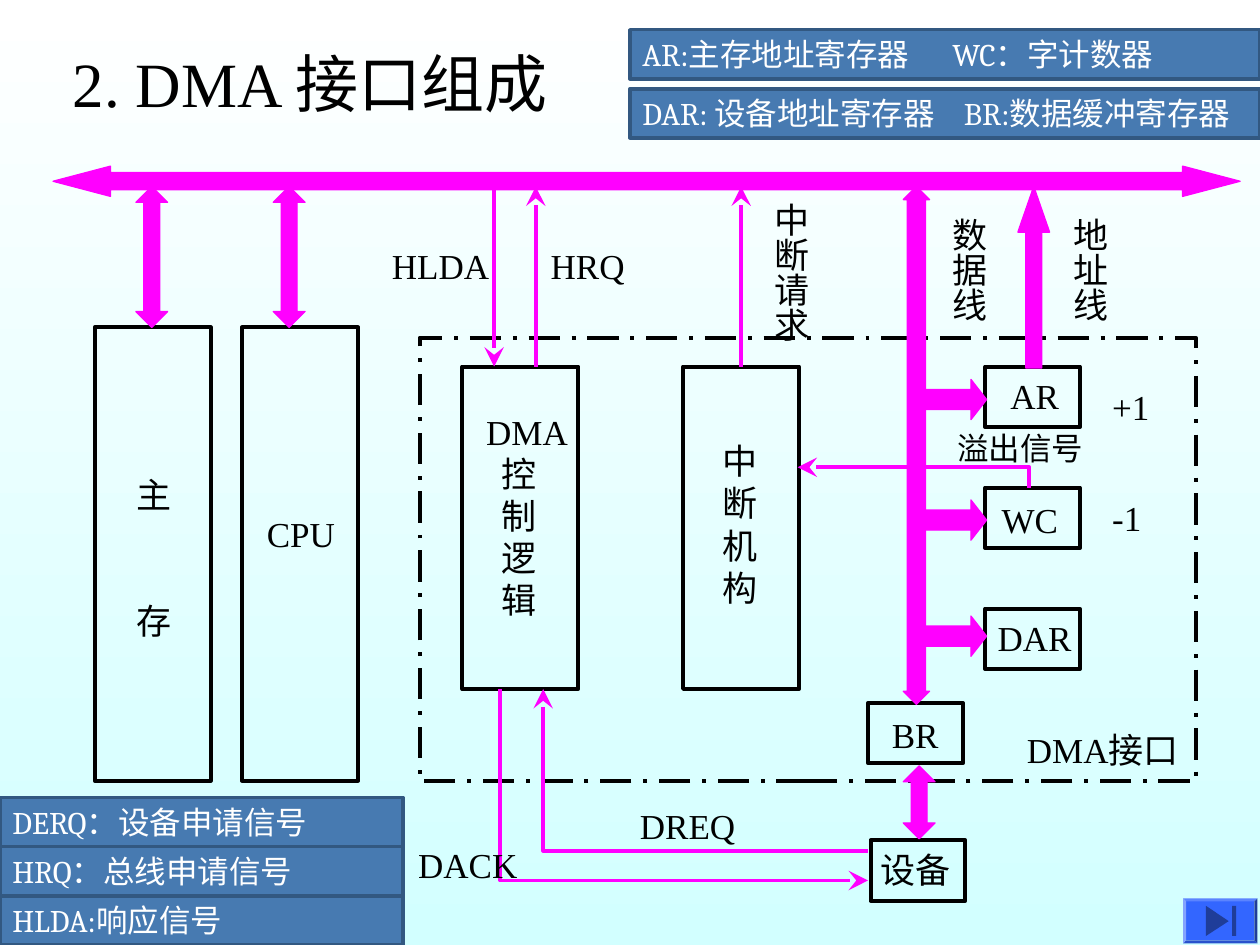
from dataclasses import dataclass
from typing import NamedTuple

from lxml.etree import SubElement
from pptx import Presentation
from pptx.dml.color import RGBColor
from pptx.enum.dml import MSO_LINE_DASH_STYLE as Dash
from pptx.enum.shapes import MSO_CONNECTOR as Connector, MSO_SHAPE as Preset
from pptx.enum.text import MSO_ANCHOR as Anchor, MSO_AUTO_SIZE as AutoSize, PP_ALIGN as Align
from pptx.oxml.ns import qn
from pptx.util import Cm, Pt


@dataclass(frozen=True)
class Theme:
    ink: str = "000000"
    signal: str = "FF00FF"
    banner: str = "477AB1"
    banner_line: str = "325881"
    banner_text: str = "FFFFFF"
    button: str = "3366FF"
    button_icon: str = "1F3D99"
    top: str = "FFFFFF"
    bottom: str = "D2FFFF"
    font: str = "Times New Roman"
    banner_font: str = "Cambria"
    title_size: float = 36
    label_size: float = 20
    note_size: float = 18
    thick: float = 2.25
    medium: float = 2
    thin: float = 0.75


THEME = Theme()


class Box(NamedTuple):
    left: float
    top: float
    width: float
    height: float


class Arrow(NamedTuple):
    preset: Preset
    box: Box
    adjustments: tuple


class Label(NamedTuple):
    text: str
    box: Box
    options: dict = {}


class Banner(NamedTuple):
    text: str
    box: Box
    tab: float = 0


Point = tuple[float, float]

BUS_EDGE = 3.76
BLOCK_TOP = 7.39
BLOCK_BOTTOM = 13.89
LABEL_SLACK = 0.1
REGISTER_TOPS = [7.39 + 2.44 * row for row in range(3)]

FRAME = Box(8.46, 6.81, 15.65, 8.94)
INTERRUPT_BLOCK = Box(13.77, BLOCK_TOP, 2.34, 6.5)
BLOCKS = [
    *(Box(left, 6.6, 2.34, 9.14) for left in (1.91, 4.88)),
    Box(9.32, BLOCK_TOP, 2.34, 6.5),
    *(Box(19.86, top, 1.91, 1.22) for top in REGISTER_TOPS),
    Box(17.5, 14.17, 1.91, 1.22),
    Box(17.55, 16.94, 1.91, 1.22),
]
ARROWS = [
    Arrow(Preset.LEFT_RIGHT_ARROW, Box(1.07, 3.35, 23.93, 0.61), (0.57, 1.9)),
    *(Arrow(Preset.UP_DOWN_ARROW, Box(left, BUS_EDGE, 0.64, 2.84), (0.9, 0.5))
      for left in (2.74, 5.51)),
    Arrow(Preset.UP_DOWN_ARROW, Box(18.21, 15.44, 0.64, 1.47), (0.47, 0.5)),
    Arrow(Preset.UP_DOWN_ARROW, Box(18.21, BUS_EDGE, 0.53, 10.44), (1.49, 0.69)),
    *(Arrow(Preset.RIGHT_ARROW, Box(18.62, top, 1.27, 0.81), (0.5, 0.39))
      for top in (7.65, 10.08, 12.42)),
    Arrow(Preset.UP_ARROW, Box(20.52, BUS_EDGE, 0.64, 3.66), (0.5, 1.44)),
]
BENT_LINES = [
    [(20.75, 9.83), (20.75, 9.42), (16.08, 9.42)],
    [(17.5, 17.15), (10.95, 17.15), (10.95, BLOCK_BOTTOM)],
    [(10.08, BLOCK_BOTTOM), (10.08, 17.75), (17.5, 17.75)],
]
LABELS = [
    Label("2. DMA 接口组成", Box(1.22, 0.76, 11.48, 1.78),
          {"size": THEME.title_size, "wrap": True}),
    Label("主\n存", Box(2.51, 9.42, 1.22, 3.66), {"gap": 48}),
    Label("CPU", Box(5.13, 10.21, 1.88, 1.12)),
    Label("DMA\n控\n制\n逻\n辑", Box(9.55, 8.15, 2.16, 4.5), {"indent": 0.31}),
    Label("中\n断\n机\n构", Box(14.32, 8.74, 1.22, 3.66)),
    Label("设备", Box(17.5, 16.97, 1.91, 1.12)),
    Label("HLDA", Box(7.65, 4.8, 2.46, 1.12)),
    Label("HRQ", Box(10.85, 4.8, 2.01, 1.12)),
    Label("中断请求", Box(15.04, 3.84, 1.35, 3.1), {"vertical": True}),
    Label("数据线", Box(18.64, 4.13, 1.35, 2.39), {"vertical": True}),
    Label("地址线", Box(21.08, 4.13, 1.35, 2.39), {"vertical": True}),
    Label("AR", Box(20.12, 7.42, 1.47, 1.12)),
    Label("WC", Box(19.94, 9.91, 1.65, 1.12)),
    Label("DAR", Box(19.86, 12.29, 2.01, 1.12)),
    Label("BR", Box(17.73, 14.25, 1.45, 1.12)),
    Label("+1", Box(22.17, 7.65, 1.24, 1.12)),
    Label("-1", Box(22.17, 9.88, 1.09, 1.12)),
    Label("溢出信号", Box(19.05, 8.51, 3.05, 1.02), {"size": THEME.note_size}),
    Label("DREQ", Box(12.65, 16.08, 2.44, 1.12)),
    Label("DACK", Box(8.18, 16.87, 2.51, 1.12)),
    Label("DMA接口", Box(20.45, 14.55, 3.73, 1.12)),
]
SIGNALS = ["DERQ：设备申请信号", "HRQ：总线申请信号", "HLDA:响应信号"]
BANNERS = [
    Banner("AR:主存地址寄存器\tWC：字计数器", Box(12.7, 0.6, 12.7, 0.99), 6.25),
    Banner("DAR: 设备地址寄存器\tBR:数据缓冲寄存器", Box(12.7, 1.79, 12.7, 0.99), 6.48),
    *(Banner(text, Box(0, 16.08 + 0.99 * row, 8.13, 0.99)) for row, text in enumerate(SIGNALS)),
]


def color(value: str) -> RGBColor:
    return RGBColor.from_string(value)


def place(box: Box) -> list:
    return [Cm(value) for value in box]


def style(shape, fill: str | None = None, line: str | None = None, width: float = THEME.thick):
    shape.shadow.inherit = False
    if fill:
        shape.fill.solid()
        shape.fill.fore_color.rgb = color(fill)
    else:
        shape.fill.background()
    if line:
        shape.line.color.rgb = color(line)
        shape.line.width = Pt(width)
    else:
        shape.line.fill.background()
    return shape


def add_preset(slide, preset: Preset, box: Box, **look):
    return style(slide.shapes.add_shape(preset, *place(box)), **look)


def add_outline(slide, points: list[Point], close: bool = False, **look):
    start, *rest = [(Cm(x), Cm(y)) for x, y in points]
    builder = slide.shapes.build_freeform(*start)
    builder.add_line_segments(rest, close=close)
    return style(builder.convert_to_shape(), **look)


def add_arrowhead(shape) -> None:
    SubElement(shape.line._get_or_add_ln(), qn("a:tailEnd"), type="stealth", w="lg", len="lg")


def add_signal(slide, begin: Point, end: Point, source=None) -> None:
    x1, y1, x2, y2 = (Cm(value) for value in (*begin, *end))
    connector = slide.shapes.add_connector(Connector.STRAIGHT, x1, y1, x2, y2)
    connector.line.color.rgb = color(THEME.signal)
    connector.line.width = Pt(THEME.thick)
    SubElement(connector._element.spPr, qn("a:effectLst"))
    add_arrowhead(connector)
    if source is not None:
        connector.begin_connect(source, 0)


def write(shape, text: str, *, size: float = THEME.label_size, font: str = THEME.font,
          ink: str = THEME.ink, wrap: bool = False, vertical: bool = False,
          gap: float = 0, indent: float = 0, tab: float = 0) -> None:
    frame = shape.text_frame
    frame.word_wrap = wrap
    frame.margin_left = frame.margin_right = Cm(0.13 if vertical else 0.25)
    frame.margin_top = frame.margin_bottom = Cm(0.25 if vertical else 0.13)
    if vertical:
        frame._txBody.bodyPr.set("vert", "eaVert")
    frame.text = text
    for index, paragraph in enumerate(frame.paragraphs):
        properties = paragraph._p.get_or_add_pPr()
        if tab:
            tabs = SubElement(properties, qn("a:tabLst"))
            SubElement(tabs, qn("a:tab"), pos=str(Cm(tab)), algn="l")
        if index and indent:
            properties.set("marL", str(Cm(indent)))
        if index and gap:
            paragraph.space_before = Pt(gap)
        paragraph.alignment = Align.LEFT
        paragraph.font.size = Pt(size)
        paragraph.font.name = font
        paragraph.font.color.rgb = color(ink)


def add_label(slide, label: Label) -> None:
    box = label.box._replace(width=label.box.width + LABEL_SLACK)
    shape = slide.shapes.add_textbox(*place(box))
    write(shape, label.text, **label.options)
    shape.text_frame.auto_size = AutoSize.SHAPE_TO_FIT_TEXT


def add_banner(slide, banner: Banner) -> None:
    shape = add_preset(slide, Preset.RECTANGLE, banner.box, fill=THEME.banner,
                       line=THEME.banner_line, width=THEME.medium)
    write(shape, banner.text, size=THEME.note_size, font=THEME.banner_font,
          ink=THEME.banner_text, wrap=True, tab=banner.tab)
    shape.text_frame.vertical_anchor = Anchor.MIDDLE


def add_end_button(slide) -> None:
    button = add_preset(slide, Preset.BEVEL, Box(23.85, 18.11, 1.5, 0.91), fill=THEME.button)
    button.adjustments[0] = 0.07
    add_outline(slide, [(24.31, 18.26), (24.77, 18.57), (24.31, 18.87)], close=True,
                fill=THEME.button_icon)
    add_preset(slide, Preset.RECTANGLE, Box(24.84, 18.26, 0.08, 0.61), fill=THEME.button_icon)


def main() -> None:
    presentation = Presentation()
    presentation.slide_width, presentation.slide_height = Cm(25.4), Cm(19.05)
    slide = presentation.slides.add_slide(presentation.slide_layouts[6])
    background = slide.background.fill
    background.gradient()
    background.gradient_angle = 270
    for stop, value in zip(background.gradient_stops, (THEME.top, THEME.bottom)):
        stop.color.rgb = color(value)

    frame = add_preset(slide, Preset.RECTANGLE, FRAME, line=THEME.ink)
    frame.line.dash_style = Dash.LONG_DASH_DOT
    for box in BLOCKS:
        add_preset(slide, Preset.RECTANGLE, box, line=THEME.ink)
    interrupt = add_preset(slide, Preset.RECTANGLE, INTERRUPT_BLOCK, line=THEME.ink)
    for arrow in ARROWS:
        shape = add_preset(slide, arrow.preset, arrow.box, fill=THEME.signal,
                           line=THEME.signal, width=THEME.thin)
        for index, value in enumerate(arrow.adjustments):
            shape.adjustments[index] = value
    add_signal(slide, (9.96, BUS_EDGE), (9.96, BLOCK_TOP))
    add_signal(slide, (10.8, BLOCK_TOP), (10.8, BUS_EDGE))
    add_signal(slide, (14.94, BLOCK_TOP), (14.94, BUS_EDGE), source=interrupt)
    for points in BENT_LINES:
        add_arrowhead(add_outline(slide, points, line=THEME.signal))
    for label in LABELS:
        add_label(slide, label)
    add_end_button(slide)
    for banner in BANNERS:
        add_banner(slide, banner)
    presentation.save("out.pptx")


if __name__ == "__main__":
    main()
